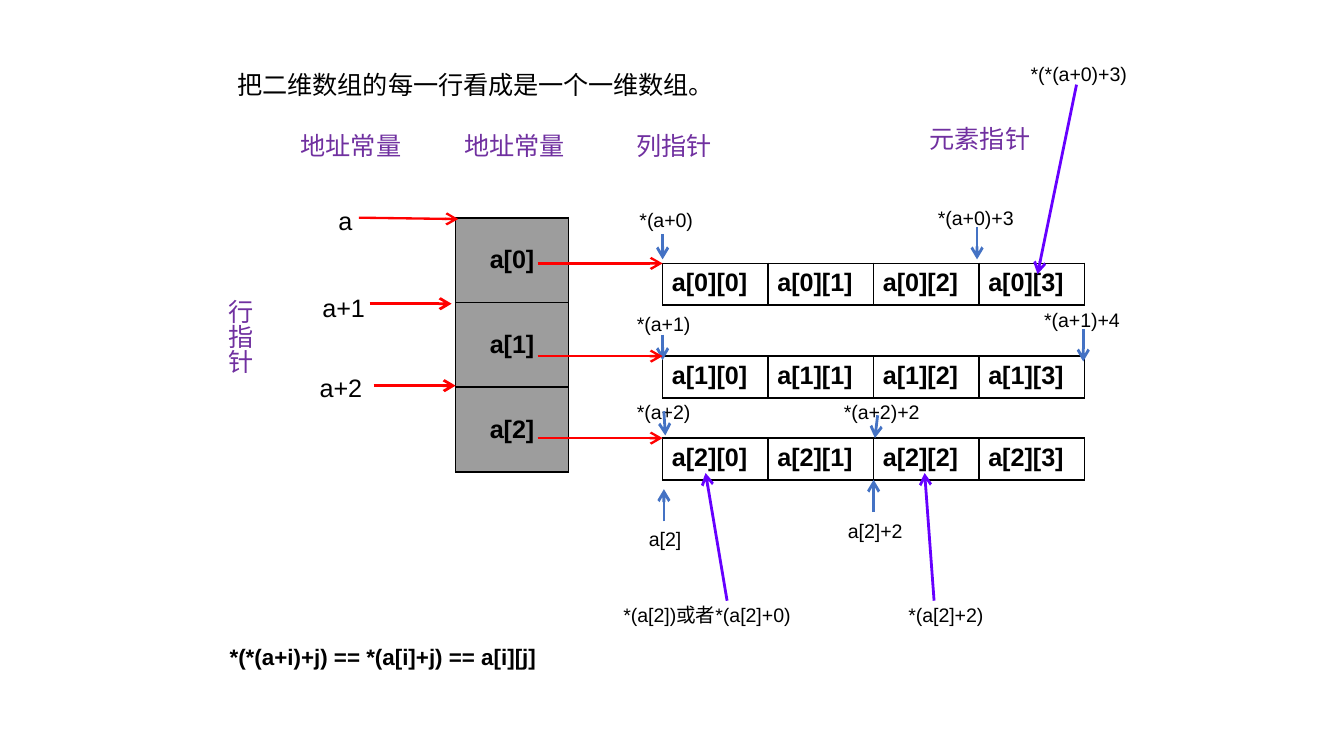
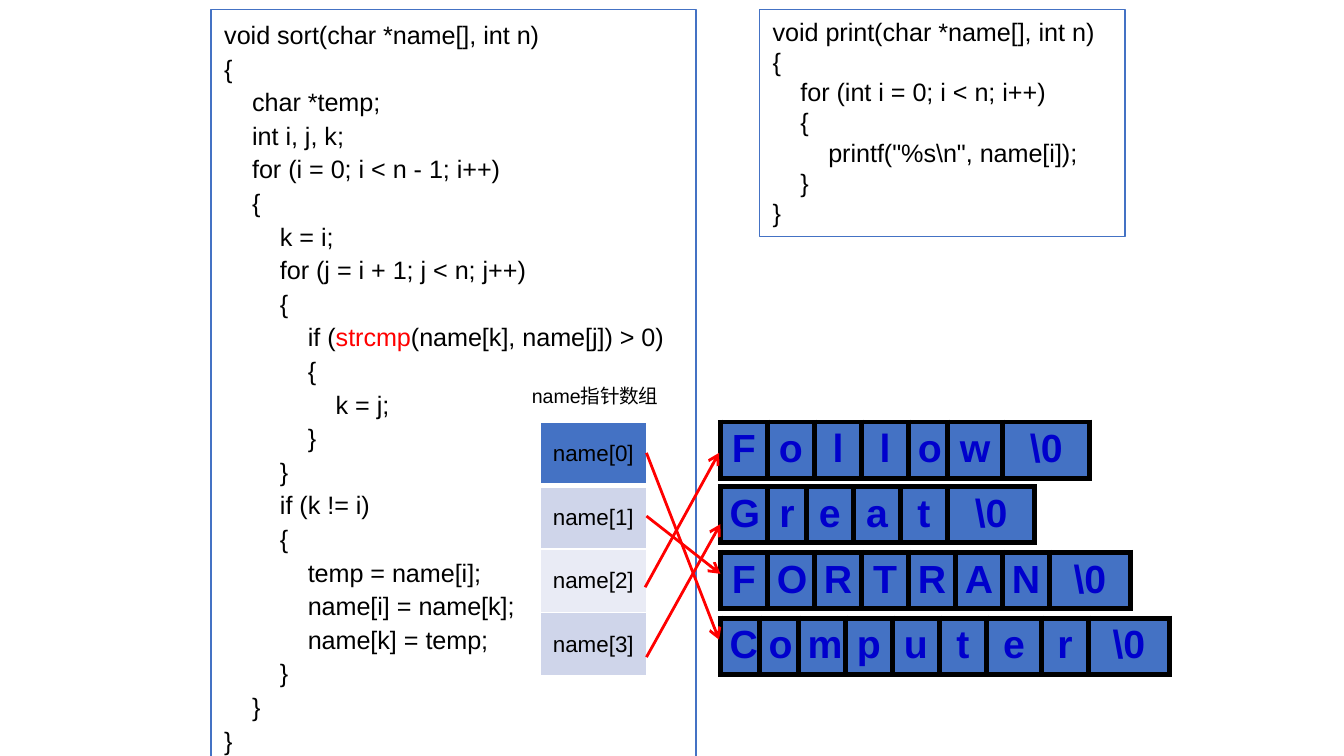
import pptx
import pptx.dml.color
import pptx.enum.shapes
import pptx.enum.text
import pptx.oxml
import pptx.oxml.ns
import pptx.util
from lxml import etree

PX = 9144  # one hundred px to the inch
FONT = "Arial"
COLORS = {
    "black": "000000", "white": "FFFFFF", "red": "FF0000", "purple": "7030A0",
    "violet": "6600FF", "blue": "4472C4", "letter": "0000CC", "gray": "9D9D9D",
    "band": "CFD5EA", "pale": "E9EBF5",
}
ALIGN = pptx.enum.text.PP_ALIGN
ANCHOR = pptx.enum.text.MSO_ANCHOR
AUTO_SIZE = pptx.enum.text.MSO_AUTO_SIZE

SORT_CODE = r"""void sort(char *name[], int n)
{
    char *temp;
    int i, j, k;
    for (i = 0; i < n - 1; i++)
    {
        k = i;
        for (j = i + 1; j < n; j++)
        {
            if (strcmp(name[k], name[j]) > 0)
            {
                k = j;
            }
        }
        if (k != i)
        {
            temp = name[i];
            name[i] = name[k];
            name[k] = temp;
        }
    }
}"""
PRINT_CODE = r"""void print(char *name[], int n)
{
    for (int i = 0; i < n; i++)
    {
        printf("%s\n", name[i]);
    }
}"""


def px(length):
    return round(length * PX)


def rgb(color):
    return pptx.dml.color.RGBColor.from_string(COLORS[color])


def sub(parent, tag, **attributes):
    return etree.SubElement(parent, pptx.oxml.ns.qn(tag), attributes)


def add_span(para, text, size, color="black", bold=False):
    span = para.add_run()
    span.text = text
    for name, value in {"name": FONT, "size": pptx.util.Pt(size), "bold": bold}.items():
        setattr(span.font, name, value)
    span.font.color.rgb = rgb(color)


def add_label(page, origin, box, text, size=13.5, color="black", bold=False,
              wrap=True, vertical=False):
    """Text box whose box is measured from origin."""
    left, top, width, height = box
    label = page.shapes.add_textbox(px(origin[0] + left), px(origin[1] + top),
                                    px(width), px(height))
    frame = label.text_frame
    frame.word_wrap = wrap
    frame.auto_size = AUTO_SIZE.NONE if wrap else AUTO_SIZE.SHAPE_TO_FIT_TEXT
    if vertical:
        frame._txBody.bodyPr.set("vert", "eaVert")
    add_span(frame.paragraphs[0], text, size, color, bold)


def add_arrow(page, origin, start, end, color="red", weight=1.5):
    """Arrow whose ends are measured from origin, with its head at end."""
    left, top = origin
    arrow = page.shapes.add_connector(
        pptx.enum.shapes.MSO_CONNECTOR.STRAIGHT,
        px(left + start[0]), px(top + start[1]), px(left + end[0]), px(top + end[1]))
    arrow.line.color.rgb = rgb(color)
    arrow.line.width = pptx.util.Pt(weight)
    sub(arrow.line._get_or_add_ln(), "a:tailEnd", type="arrow")
    sub(arrow._element.spPr, "a:effectLst")


def add_border(cell, side, color, weight):
    edge = sub(cell._tc.get_or_add_tcPr(), f"a:ln{side}",
               w=str(pptx.util.Pt(weight)), cmpd="sng")
    sub(sub(edge, "a:solidFill"), "a:srgbClr", val=COLORS[color])


def add_grid(page, origin, columns, row_height, rows, size=13.5, color="black", bold=True,
             fills=None, border=("black", 1), centered=True, middle=False, header_rule=None):
    """Table of text rows; fills holds one colour for each row."""
    frame = page.shapes.add_table(len(rows), len(columns), px(origin[0]), px(origin[1]),
                                  px(sum(columns)), px(row_height * len(rows)))
    grid = frame.table
    grid.first_row = grid.horz_banding = False
    for column, width in zip(grid.columns, columns):
        column.width = px(width)
    margins = {"margin_left": 7, "margin_right": 7, "margin_top": 4, "margin_bottom": 4}
    for r, texts in enumerate(rows):
        grid.rows[r].height = px(row_height)
        for c, text in enumerate(texts):
            cell = grid.cell(r, c)
            for name, value in margins.items():
                setattr(cell, name, px(value))
            cell.vertical_anchor = ANCHOR.MIDDLE if middle else ANCHOR.TOP
            for side in "LRTB":
                ruled = header_rule and (r, side) in ((0, "B"), (1, "T"))
                add_border(cell, side, border[0], header_rule if ruled else border[1])
            if fills:
                cell.fill.solid()
                cell.fill.fore_color.rgb = rgb(fills[r])
            else:
                cell.fill.background()
            para = cell.text_frame.paragraphs[0]
            para.alignment = ALIGN.CENTER if centered else ALIGN.LEFT
            add_span(para, text, size, color, bold)


def add_code(page, box, code, spacing=None, marked=None):
    """Framed listing, with the marked word in red."""
    panel = page.shapes.add_shape(pptx.enum.shapes.MSO_SHAPE.RECTANGLE, *map(px, box))
    panel.shadow.inherit = False
    panel.fill.background()
    panel.line.color.rgb = rgb("blue")
    panel.line.width = pptx.util.Pt(0.75)
    frame = panel.text_frame
    frame.word_wrap = True
    frame.vertical_anchor = ANCHOR.TOP
    for i, line in enumerate(code.split("\n")):
        para = frame.add_paragraph() if i else frame.paragraphs[0]
        para.alignment = ALIGN.LEFT
        if spacing:
            para.line_spacing = pptx.util.Pt(spacing)
        before, word, after = line.partition(marked) if marked else (line, "", "")
        for text, color in ((before, "black"), (word, "red"), (after, "black")):
            if text:
                add_span(para, text, 13.5, color)


def add_headings(page, origin):
    add_label(page, origin, (0, 0, 499, 33), "把二维数组的每一行看成是一个一维数组。")
    for left, top, width, text in ((47, 45, 95, "地址常量"), (169, 45, 95, "地址常量"),
                                   (297, 45, 76, "列指针"), (515, 40, 95, "元素指针")):
        add_label(page, origin, (left, top, width, 33), text, color="purple", wrap=False)


def add_row_pointers(page, origin):
    left, top = origin
    add_grid(page, (left + 187, top), [84], 63, [[f"a[{i}]"] for i in range(3)],
             fills=["gray"] * 3, middle=True)
    add_label(page, origin, (0, 51, 43, 66), "行指针", color="purple", wrap=False, vertical=True)
    for box, text in (((90, -14, 30, 33), "a"), ((78, 51, 52, 33), "a+1"),
                      ((76, 110, 52, 33), "a+2")):
        add_label(page, origin, box, text, wrap=False)
    for start, end, weight in (((115, 0), (189, 1), 1.25), ((123, 64), (184, 64), 1.5),
                               ((126, 125), (187, 125), 1.5)):
        add_arrow(page, origin, start, end, weight=weight)


def add_elements(page, origin):
    """The three rows of elements with their column and element pointers."""
    left, top = origin
    row_tops = (0, 69, 130)
    for i, row_top in enumerate(row_tops):
        add_grid(page, (left, top + row_top), [314 / 4] * 4, 31,
                 [[f"a[{i}][{j}]" for j in range(4)]], centered=False)
    labels = (
        ((-27, -46, 74, 31), "*(a+0)"), ((-29, 31, 68, 38), "*(a+1)"),
        ((-29, 97, 68, 28), "*(a+2)"), ((-20, 191, 59, 36), "a[2]"),
        ((195, -48, 78, 28), "*(a+0)+3"), ((125, 97, 82, 28), "*(a+2)+2"),
        ((128, 185, 75, 28), "a[2]+2"), ((274, 28, 78, 28), "*(a+1)+4"),
        ((-39, 248, 147, 28), "*(a[2])或者*(a[2]+0)"), ((173, 248, 80, 28), "*(a[2]+2)"),
        ((264, -155, 95, 28), "*(*(a+0)+3)"),
    )
    for box, text in labels:
        add_label(page, origin, box, text, size=10.5)
    column_arrows = (
        ((0, -22), (0, -3)), ((0, 53), (0, 72)), ((1, 110), (2, 128)), ((1, 192), (1, 168)),
        ((234, -27), (234, -3)), ((160, 113), (158, 130)), ((157, 185), (157, 161)),
        ((313, 49), (313, 73)),
    )
    for start, end in column_arrows:
        add_arrow(page, origin, start, end, "blue")
    for row_top in row_tops:
        add_arrow(page, origin, (-93, row_top), (0, row_top), weight=1.25)
    for start, end in (((202, 251), (195, 156)), ((48, 251), (32, 156)),
                       ((308, -133), (279, 8))):
        add_arrow(page, origin, start, end, "violet")


def add_words(page, origin):
    """One row of letter cells for each stored string."""
    left, top = origin
    words = (
        (0, "Follow", (35, 35, 35, 35, 29, 41, 65)),
        (48, "Great", (35, 29, 35, 35, 35, 65)),
        (97, "FORTRAN", (35, 35, 35, 35, 35, 35, 35, 60)),
        (146, "Computer", (29, 29, 35, 35, 35, 35, 41, 35, 60)),
    )
    for word_top, word, columns in words:
        add_grid(page, (left, top + word_top), columns, 42, [[*word, r"\0"]], size=21,
                 color="letter", fills=["blue"], border=("black", 3))


def add_name_array(page, origin):
    add_label(page, origin, (-16, -33, 133, 28), "name指针数组", size=10.5)
    add_grid(page, origin, [79], 189 / 4, [[f"name[{i}]"] for i in range(4)], size=12,
             bold=False, fills=["blue", "band", "pale", "band"], border=("white", 1),
             middle=True, header_rule=3)
    for start, end in (((79, 23), (133, 162)), ((79, 70), (134, 113)),
                       ((79, 175), (134, 76)), ((78, 123), (133, 23))):
        add_arrow(page, origin, start, end)


def build_pointer_page(page):
    add_headings(page, (167, 47))
    add_row_pointers(page, (152, 162))
    add_elements(page, (493, 196))
    add_label(page, (161, 474), (0, 0, 288, 30), "*(*(a+i)+j) == *(a[i]+j) == a[i][j]",
              size=12, bold=True)


def build_sort_page(page):
    add_code(page, (157, 7, 361, 565), SORT_CODE, spacing=18, marked="strcmp")
    add_code(page, (565, 7, 272, 169), PRINT_CODE)
    add_words(page, (536, 314))
    add_name_array(page, (402, 314))


def main():
    deck = pptx.Presentation()
    deck.slide_width = px(1000)
    deck.slide_height = px(1000) * 9 // 16
    blank = deck.slide_layouts[6]
    for build in (build_pointer_page, build_sort_page):
        build(deck.slides.add_slide(blank))
    deck.save("out.pptx")


if __name__ == "__main__":
    main()
